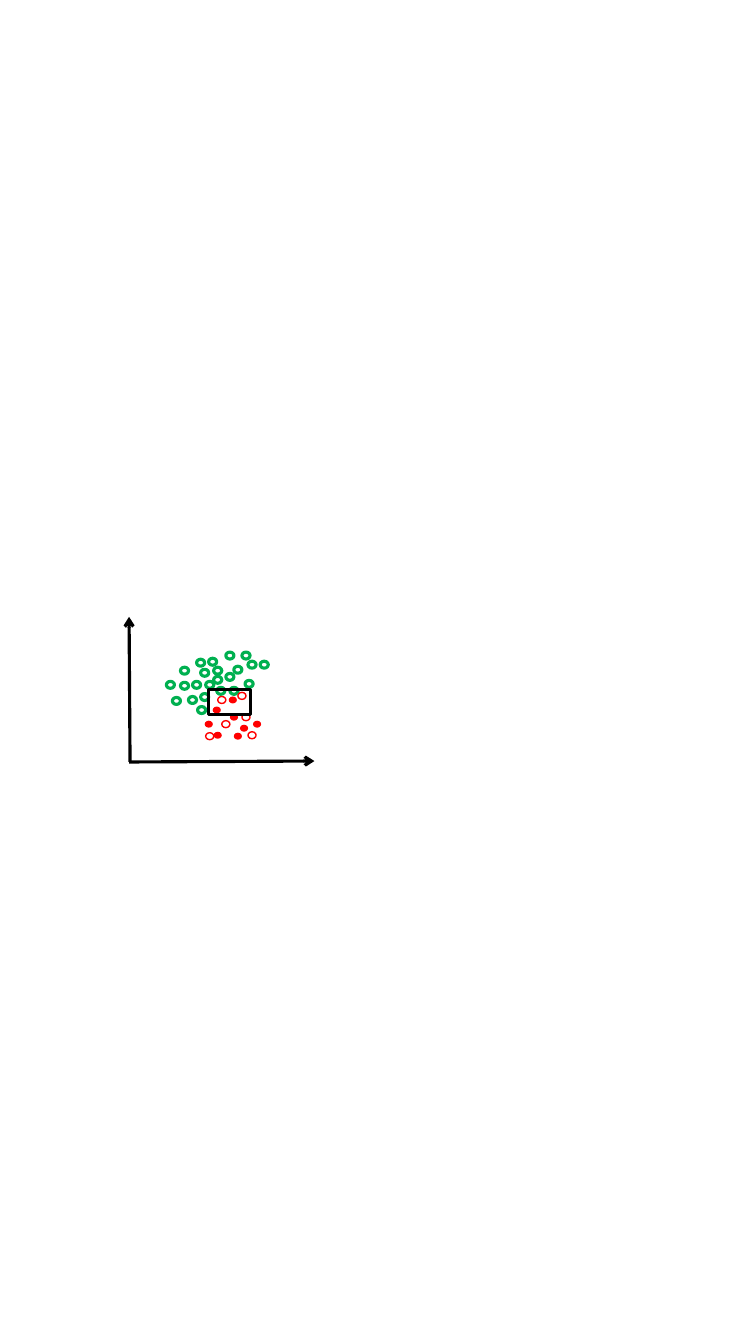
from dataclasses import dataclass

from lxml.etree import SubElement
from pptx import Presentation
from pptx.dml.color import RGBColor
from pptx.enum.shapes import MSO_CONNECTOR, MSO_SHAPE
from pptx.oxml.ns import qn
from pptx.util import Pt


@dataclass(frozen=True)
class Theme:
    ink: str = "000000"
    green: str = "00B050"
    red: str = "FF0000"
    heavy: float = 2.25
    thin: float = 1


@dataclass(frozen=True)
class Box:
    left: float
    top: float
    width: float
    height: float


THEME = Theme()
PLOT = Box(92, 440, 132.6, 104.3)
DOT_WIDTH, DOT_HEIGHT = 5.8, 5
FOCUS = Box(57, 52.5, 30.2, 18)

GREEN_RINGS = [
    (57, 30.2), (60.6, 36.6), (36.9, 36.6), (51.3, 38.1), (80.8, 25.8),
    (69.3, 41), (69.3, 25.8), (75, 35.9), (60.6, 43.1), (54.9, 46.7),
    (62.8, 51), (72.2, 51), (45.5, 46.7), (85.1, 32.3), (36.9, 47.4),
    (51.3, 55.4), (49.1, 64.7), (26.8, 46.7), (42.6, 57.5), (93.8, 32.3),
    (31.1, 58.2), (48.4, 30.9), (83, 46),
]
RED_RINGS = [
    (80.8, 69.8), (54.9, 83.4), (63.5, 57.5),
    (66.4, 74.8), (77.9, 54.6), (85.1, 82.7),
]
RED_DOTS = [
    (72.2, 69.8), (54.2, 74.8), (60.6, 82.7), (71.4, 57.5),
    (88.7, 74.8), (79.4, 77.7), (59.9, 64.7), (75, 83.4),
]


def add_outline(page, kind, box, line=None, weight=None, fill=None):
    shape = page.shapes.add_shape(
        kind, Pt(box.left), Pt(box.top), Pt(box.width), Pt(box.height))
    shape.shadow.inherit = False
    if fill:
        shape.fill.solid()
        shape.fill.fore_color.rgb = RGBColor.from_string(fill)
    else:
        shape.fill.background()
    if line:
        shape.line.color.rgb = RGBColor.from_string(line)
        shape.line.width = Pt(weight)
    else:
        shape.line.fill.background()


def add_axis(page, box, start, end):
    axis = page.shapes.add_connector(
        MSO_CONNECTOR.STRAIGHT,
        Pt(box.left + start[0]), Pt(box.top + start[1]),
        Pt(box.left + end[0]), Pt(box.top + end[1]))
    axis.line.color.rgb = RGBColor.from_string(THEME.ink)
    axis.line.width = Pt(THEME.heavy)
    SubElement(axis.line._get_or_add_ln(), qn("a:tailEnd"), type="arrow")
    SubElement(axis._element.spPr, qn("a:effectLst"))


def add_cluster(page, box, points, **style):
    for x, y in points:
        dot = Box(box.left + x, box.top + y, DOT_WIDTH, DOT_HEIGHT)
        add_outline(page, MSO_SHAPE.OVAL, dot, **style)


def add_scatter(page, box):
    add_axis(page, box, (0.9, box.height), (0.2, 0.6))
    add_axis(page, box, (0.2, box.height), (box.width, box.height - 0.7))
    add_cluster(page, box, GREEN_RINGS, line=THEME.green, weight=THEME.heavy)
    add_cluster(page, box, RED_RINGS, line=THEME.red, weight=THEME.thin)
    add_cluster(page, box, RED_DOTS, fill=THEME.red)
    frame = Box(box.left + FOCUS.left, box.top + FOCUS.top, FOCUS.width, FOCUS.height)
    add_outline(page, MSO_SHAPE.RECTANGLE, frame, line=THEME.ink, weight=THEME.heavy)


def main():
    deck = Presentation()
    deck.slide_width, deck.slide_height = Pt(540), Pt(960)
    page = deck.slides.add_slide(deck.slide_layouts[6])
    add_scatter(page, PLOT)
    deck.save("out.pptx")


if __name__ == "__main__":
    main()
